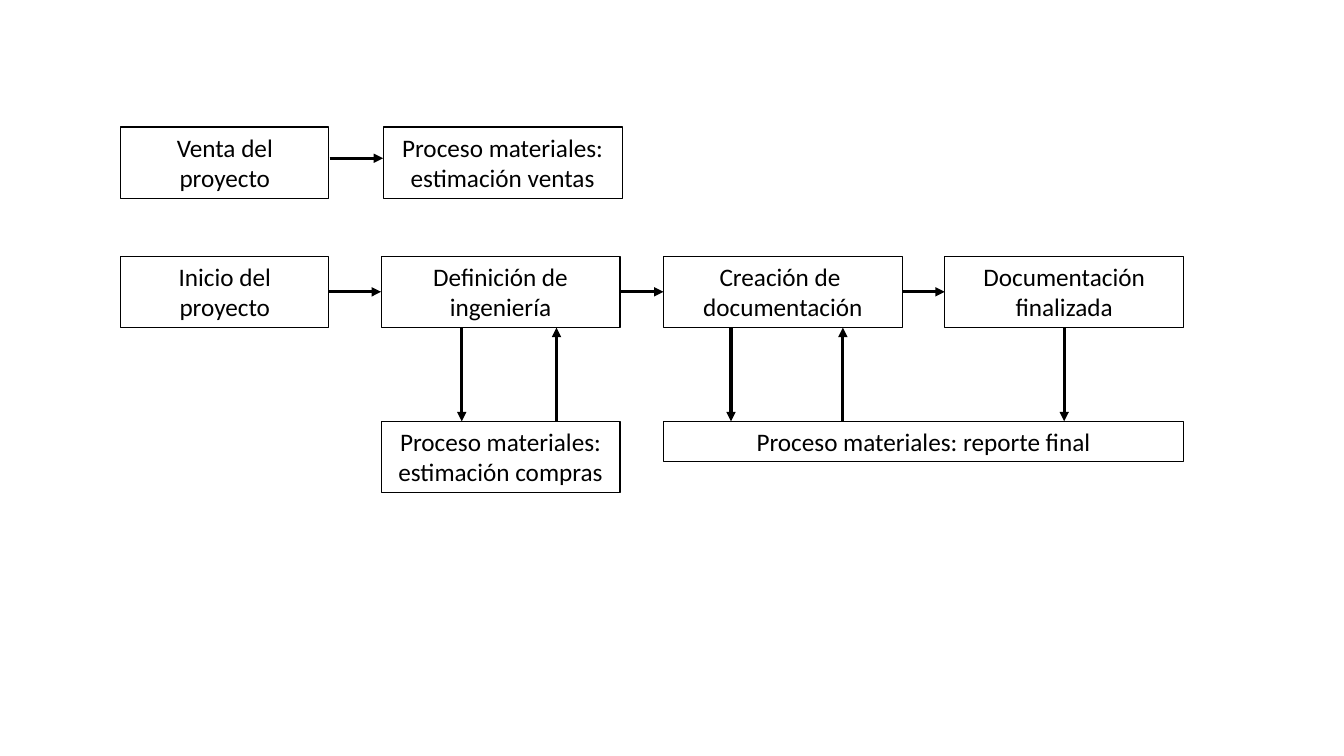
"""Builds the slide with the flow of a project and its materials processes."""
from lxml.etree import SubElement
from pptx import Presentation
from pptx.dml.color import RGBColor
from pptx.enum.shapes import MSO_CONNECTOR as Connector
from pptx.enum.text import MSO_AUTO_SIZE as AutoSize, PP_ALIGN as Align
from pptx.oxml.ns import qn
from pptx.util import Inches, Pt

BLACK = RGBColor(0x00, 0x00, 0x00)
FONT = "Calibri"
START_LEFT, START_WIDTH = 1.2, 2.06
STEP_LEFTS, STEP_WIDTH = (3.78, 6.58, 9.37), 2.37
SALES_TOP, PROJECT_TOP, MATERIALS_TOP = 1.26, 2.54, 4.18
BOX_HEIGHT, REPORT_HEIGHT = 0.71, 0.4
TOP, LEFT, BOTTOM, RIGHT = range(4)


def add_step(slide, text, left, top, width, height=BOX_HEIGHT):
    """Add an outlined box with centred text."""
    step = slide.shapes.add_textbox(
        Inches(left), Inches(top), Inches(width), Inches(height))
    step.line.color.rgb = BLACK
    step.line.width = Pt(0.75)
    frame = step.text_frame
    frame.word_wrap = True
    frame.auto_size = AutoSize.SHAPE_TO_FIT_TEXT
    frame.text = text
    for paragraph in frame.paragraphs:
        paragraph.alignment = Align.CENTER
        for run in paragraph.runs:
            run.font.name = FONT
            run.font.size = Pt(18)
            run.font.color.rgb = BLACK
    return step


def add_arrow(slide, start, end):
    """Add a thick arrow between two points given in inches."""
    arrow = slide.shapes.add_connector(
        Connector.STRAIGHT, *(Inches(length) for length in (*start, *end)))
    arrow.line.color.rgb = BLACK
    arrow.line.width = Pt(2.25)
    SubElement(arrow.line._get_or_add_ln(), qn("a:tailEnd"), type="triangle")
    SubElement(arrow._element.spPr, qn("a:effectLst"))
    return arrow


def join_steps(slide, source, target):
    """Join the right side of one step to the left side of the next."""
    arrow = add_arrow(slide, (0, 0), (1, 0))
    arrow.begin_connect(source, RIGHT)
    arrow.end_connect(target, LEFT)


def main():
    """Build and save the slide."""
    deck = Presentation()
    deck.slide_width, deck.slide_height = Inches(13.33), Inches(7.5)
    slide = deck.slides.add_slide(deck.slide_layouts[6])

    add_step(slide, "Venta del proyecto", START_LEFT, SALES_TOP, START_WIDTH)
    add_step(slide, "Proceso materiales: estimación ventas",
             3.8, SALES_TOP, STEP_WIDTH)
    add_arrow(slide, (3.27, 1.57), (3.8, 1.57))

    project = [add_step(slide, "Inicio del\nproyecto",
                        START_LEFT, PROJECT_TOP, START_WIDTH)]
    step_texts = ("Definición de\ningeniería", "Creación de \ndocumentación",
                  "Documentación finalizada")
    for text, left in zip(step_texts, STEP_LEFTS):
        project.append(add_step(slide, text, left, PROJECT_TOP, STEP_WIDTH))
    for source, target in zip(project, project[1:]):
        join_steps(slide, source, target)

    engineering_left, documents_left, finished_left = STEP_LEFTS
    add_step(slide, "Proceso materiales: estimación compras",
             engineering_left, MATERIALS_TOP, STEP_WIDTH)
    report_width = finished_left + STEP_WIDTH - documents_left
    add_step(slide, "Proceso materiales: reporte final",
             documents_left, MATERIALS_TOP, report_width, REPORT_HEIGHT)

    project_bottom = PROJECT_TOP + BOX_HEIGHT
    for request_x, reply_x in ((4.58, 5.52), (7.25, 8.36)):
        add_arrow(slide, (request_x, project_bottom), (request_x, MATERIALS_TOP))
        add_arrow(slide, (reply_x, MATERIALS_TOP), (reply_x, project_bottom))
    finished_x = finished_left + STEP_WIDTH / 2
    closing = add_arrow(slide, (finished_x, project_bottom),
                        (finished_x, MATERIALS_TOP))
    closing.begin_connect(project[-1], BOTTOM)

    deck.save("out.pptx")


if __name__ == "__main__":
    main()
